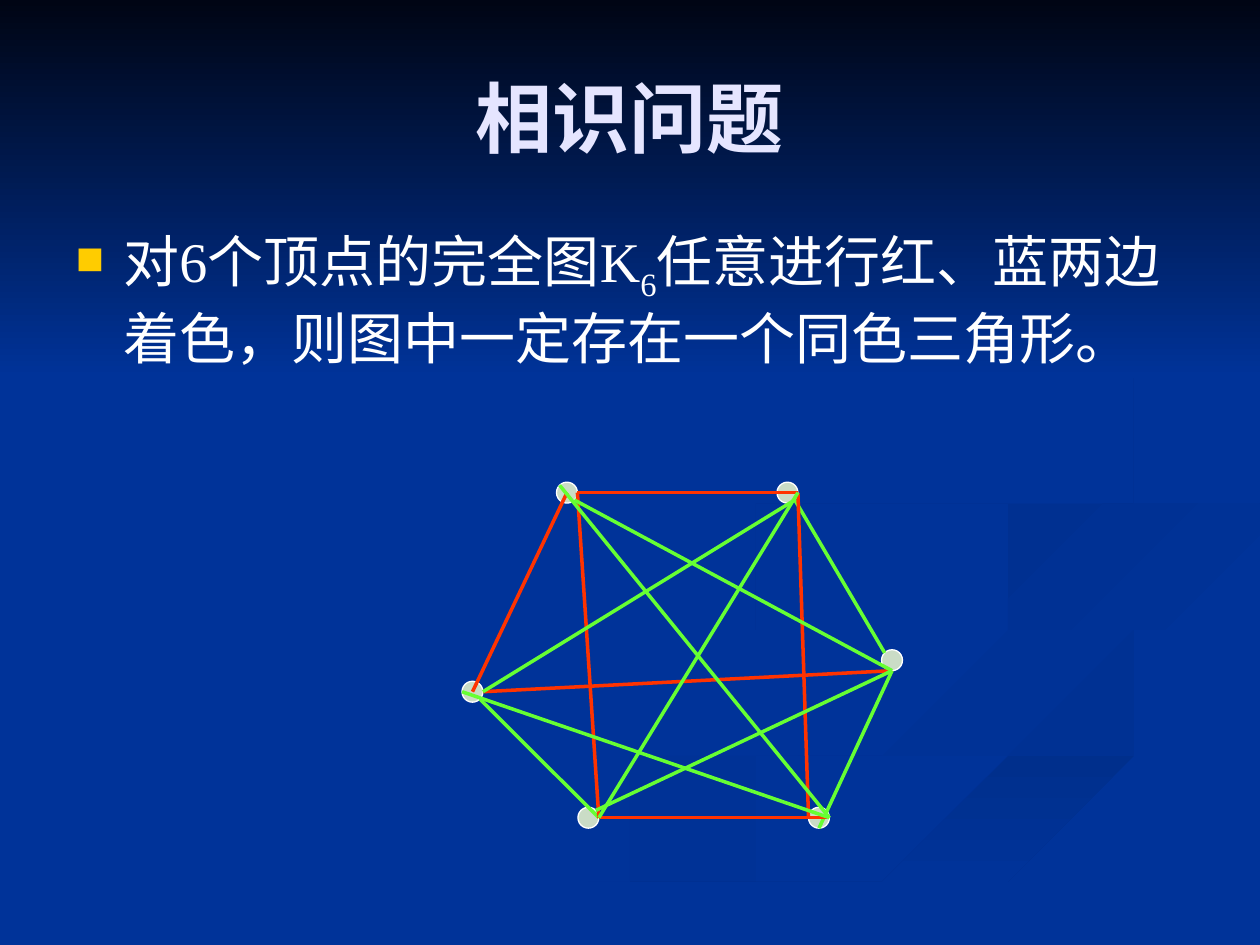
from lxml import etree
from pptx import Presentation, util as u
from pptx.dml.color import RGBColor
from pptx.enum import shapes, text
from pptx.oxml.ns import qn

WIDTH, HEIGHT = 10, 7.5
BLUE, RED, GREEN, WHITE = "003399", "FF3300", "66FF33", "FFFFFF"
NODE_FILL, TITLE_COLOUR, BULLET_COLOUR = "CADCC6", "E5E5FF", "FFCC00"
FONT = "Times New Roman"
CURVE_STEPS = 6

# Background ribbons: first colour, last colour, clockwise angle, two edges
RIBBONS = [
    (BLUE, "003193", 0,
     [(5.75, 4.59), (6.42, 5.07), (7.57, 5.43), (8, 5.81), (7.21, 6.23),
      (5.32, 6.74), (3.61, 7.49)],
     [(5.75, 4.59), (6.31, 5.05), (7.41, 5.39), (7.86, 5.66), (7.14, 6.05),
      (4.99, 6.61), (3, 7.49)]),
    (BLUE, "003193", 45,
     [(7.24, 4.64), (7.58, 4.98), (8.88, 5.35), (9.43, 5.7), (8.94, 6.05)],
     [(7.24, 4.64), (7.55, 5.05), (8.68, 5.44), (9.18, 5.81), (8.94, 6.05)]),
    ("002F8C", BLUE, 90,
     [(5.03, 7.49), (6.3, 6.93), (7.97, 6.38), (9.98, 5.81)],
     [(5.71, 7.49), (7.22, 6.82), (9.98, 6.09)]),
    (BLUE, BLUE, 0,
     [(9.99, 3.87), (8.3, 4.15), (7.25, 4.64), (7.93, 5.09), (9.43, 5.7),
      (7.8, 6.34), (4.77, 7.49)],
     [(9.99, 4.02), (8.5, 4.27), (7.81, 4.63), (8.66, 5.09), (9.99, 5.38),
      (9.99, 5.81), (7.65, 6.47), (5.03, 7.49)]),
    ("003091", BLUE, 45,
     [(9.98, 4.02), (8.5, 4.27), (7.81, 4.6), (8.26, 4.96)],
     [(9.98, 4.2), (8.59, 4.43), (8.05, 4.72), (8.26, 4.96)]),
    ("002F8E", BLUE, 45,
     [(7.62, 2.33), (8.54, 2.83), (8.94, 3.44), (8.25, 4.02), (6.83, 4.3),
      (5.93, 4.7), (6.22, 5)],
     [(7.62, 2.33), (8.46, 2.79), (8.89, 3.35), (8.18, 3.86), (6.49, 4.2),
      (5.77, 4.62), (6.22, 5)]),
    # Dark sky at the top
    ("000514", BLUE, 90, [(0, 0), (WIDTH, 0)], [(0, 3.08), (WIDTH, 3.08)]),
]

# Vertices of K6 by centre, and points on a vertex as shares of its radius
RADIUS = 0.083
VERTICES = {"D": (6.5, 6.49), "E": (4.67, 6.49), "C": (7.08, 5.24),
            "F": (3.75, 5.49), "B": (6.25, 3.91), "A": (4.5, 3.91)}
SITES = {"mid": (0, 0), "left": (-1, 0), "right": (1, 0), "bottom": (0, 1),
         "nw": (-0.7, -0.7), "ne": (0.7, -0.7), "se": (0.7, 0.7)}
EDGES = [
    ("A mid", "F mid", RED), ("A right", "B right", RED),
    ("F se", "E right", GREEN), ("B se", "C nw", GREEN),
    ("C bottom", "D bottom", GREEN), ("E right", "D right", RED),
    ("A right", "E right", RED), ("B right", "D left", RED),
    ("F right", "C bottom", RED), ("B right", "E right", GREEN),
    ("A nw", "D right", GREEN), ("A se", "C bottom", GREEN),
    ("B se", "F right", GREEN), ("E ne", "C bottom", GREEN),
    ("F left", "D right", GREEN),
]


def colour(hex_string):
    return RGBColor.from_string(hex_string)


def smooth(points):
    """Run a Catmull-Rom curve through the points."""
    padded = [points[0], *points, points[-1]]
    curve = []
    for knots in zip(padded, padded[1:], padded[2:], padded[3:]):
        for step in range(CURVE_STEPS):
            t = step / CURVE_STEPS
            curve.append(tuple(
                b + t * (c - a) / 2 + t**2 * (a - 2.5 * b + 2 * c - d / 2)
                + t**3 * (3 * (b - c) + d - a) / 2
                for a, b, c, d in zip(*knots)))
    return curve + [points[-1]]


def add_ribbon(slide, first, last, angle, near_edge, far_edge):
    outline = smooth(near_edge) + smooth(far_edge)[::-1]
    builder = slide.shapes.build_freeform(*outline[0], scale=u.Inches(1))
    builder.add_line_segments(outline[1:], close=True)
    ribbon = builder.convert_to_shape()
    ribbon.shadow.inherit = False
    ribbon.line.fill.background()
    if first == last:
        ribbon.fill.solid()
        ribbon.fill.fore_color.rgb = colour(first)
        return
    ribbon.fill.gradient()
    ribbon.fill.gradient_angle = (360 - angle) % 360
    for stop, shade in zip(ribbon.fill.gradient_stops, (first, last)):
        stop.color.rgb = colour(shade)


def add_text_box(slide, top, height):
    box = slide.shapes.add_textbox(
        u.Inches(0.05 * WIDTH), u.Inches(top * HEIGHT),
        u.Inches(0.9 * WIDTH), u.Inches(height * HEIGHT))
    box.text_frame.word_wrap = True
    return box.text_frame


def set_font(paragraph, size, shade, bold=False):
    font = paragraph.font
    font.name, font.size, font.bold = FONT, u.Pt(size), bold
    font.color.rgb = colour(shade)


def add_bullet(paragraph):
    props = paragraph._p.get_or_add_pPr()
    props.set("marL", str(u.Inches(0.38)))
    props.set("indent", str(-u.Inches(0.38)))
    bullet_colour = etree.SubElement(props, qn("a:buClr"))
    etree.SubElement(bullet_colour, qn("a:srgbClr"), val=BULLET_COLOUR)
    etree.SubElement(props, qn("a:buSzPct"), val="70000")
    etree.SubElement(props, qn("a:buChar"), char="■")


def add_vertex(slide, x, y):
    vertex = slide.shapes.add_shape(
        shapes.MSO_SHAPE.OVAL, u.Inches(x - RADIUS), u.Inches(y - RADIUS),
        u.Inches(2 * RADIUS), u.Inches(2 * RADIUS))
    vertex.shadow.inherit = False
    vertex.fill.solid()
    vertex.fill.fore_color.rgb = colour(NODE_FILL)
    vertex.line.color.rgb = colour(WHITE)
    vertex.line.width = u.Pt(0.75)


def locate(end):
    vertex, site = end.split()
    return [u.Inches(centre + RADIUS * share)
            for centre, share in zip(VERTICES[vertex], SITES[site])]


def add_edge(slide, start, end, shade):
    edge = slide.shapes.add_connector(
        shapes.MSO_CONNECTOR.STRAIGHT, *locate(start), *locate(end))
    edge.line.color.rgb = colour(shade)
    edge.line.width = u.Pt(2)
    etree.SubElement(edge._element.spPr, qn("a:effectLst"))


def main():
    prs = Presentation()
    prs.slide_width, prs.slide_height = u.Inches(WIDTH), u.Inches(HEIGHT)
    slide = prs.slides.add_slide(prs.slide_layouts[6])

    # Background
    slide.background.fill.solid()
    slide.background.fill.fore_color.rgb = colour(BLUE)
    for ribbon in RIBBONS:
        add_ribbon(slide, *ribbon)

    # Title
    title = add_text_box(slide, 0.04, 1 / 6)
    title.vertical_anchor = text.MSO_ANCHOR.MIDDLE
    heading = title.paragraphs[0]
    heading.text = "相识问题"
    heading.alignment = text.PP_ALIGN.CENTER
    set_font(heading, 44, TITLE_COLOUR, bold=True)

    # Theorem
    theorem = add_text_box(slide, 7 / 30, 0.66).paragraphs[0]
    add_bullet(theorem)
    set_font(theorem, 32, WHITE)
    theorem.add_run().text = "对6个顶点的完全图K"
    subscript = theorem.add_run()
    subscript.text = "6"
    subscript._r.get_or_add_rPr().set("baseline", "-25000")
    theorem.add_run().text = "任意进行红、蓝两边着色，则图中一定存在一个同色三角形。"

    # Coloured complete graph
    for centre in VERTICES.values():
        add_vertex(slide, *centre)
    for edge in EDGES:
        add_edge(slide, *edge)

    prs.save("out.pptx")


if __name__ == "__main__":
    main()
